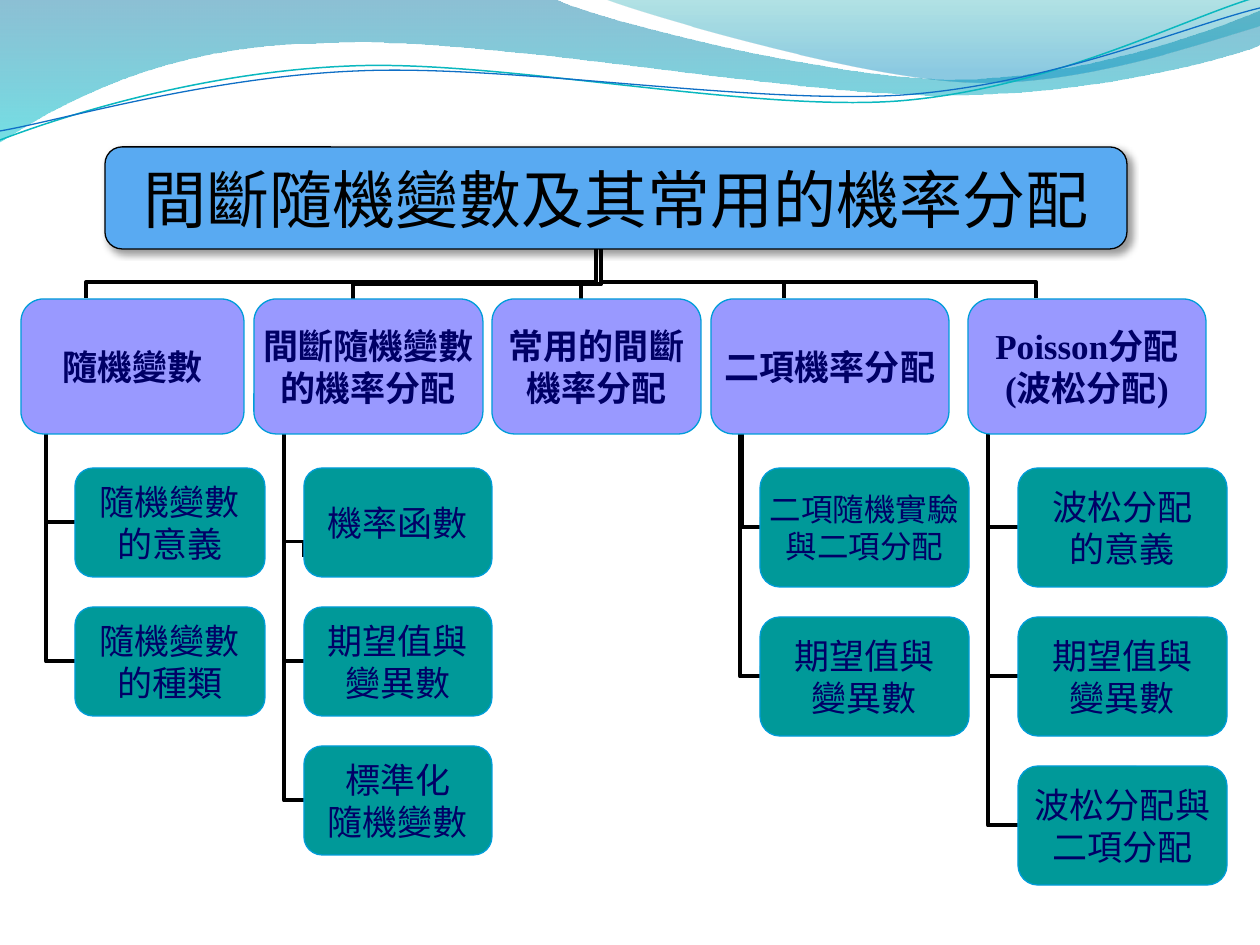
"""Build an organisation chart of discrete random variables under a wave banner."""
from dataclasses import dataclass

from lxml.etree import SubElement
from pptx import Presentation
from pptx.dml.color import RGBColor
from pptx.enum.shapes import MSO_CONNECTOR, MSO_SHAPE
from pptx.enum.text import MSO_ANCHOR, PP_ALIGN
from pptx.oxml.ns import qn
from pptx.util import Emu, Pt

PX = 914400 / 126


@dataclass(frozen=True)
class Theme:
    font: str = "Times New Roman"
    black: str = "000000"
    title_fill: str = "59AAF2"
    header_fill: str = "9999FF"
    topic_fill: str = "009999"
    outline: str = "009DD9"
    text: str = "000066"
    title_size: int = 36
    body_size: int = 20
    small_size: int = 18
    thin: float = 0.75
    link: float = 2.25


THEME = Theme()
TITLE = ("間斷隨機變數及其常用的機率分配", (105, 147, 1022, 102))
HEADER_TOP, HEADER_HEIGHT, TOPIC_TOP, TOPIC_GAP = 299, 135, 468, 30

COLUMNS = [
    dict(header="隨機變數", left=21, width=223, drop=(86, 298), trunk=(596, 229),
         bend=0.23, spine=46, topic_box=(75, 190, 109),
         topics=["隨機變數\n的意義", "隨機變數\n的種類"]),
    dict(header="間斷隨機變數的機率分配", left=254, width=229, drop=(353, 300),
         trunk=(601, 249), bend=0.32, spine=284, topic_box=(304, 188, 109),
         topics=["機率函數", "期望值與\n變異數", "標準化\n隨機變數"],
         first_link=("rise", (304, 557), (284, 428), 0.12)),
    dict(header="常用的間斷\n機率分配", left=492, width=209, drop=(581, 300),
         trunk=(601, 249), bend=0.32, topics=[]),
    dict(header="二項機率分配", left=711, width=238, drop=(784, 298),
         trunk=(601, 229), bend=0.23, spine=740, topic_box=(760, 209, 119),
         topics=["二項隨機實驗與二項分配", "期望值與\n變異數"],
         first_link=("side", (760, 527), (711, 367), 0.37)),
    dict(header="Poisson分配\n(波松分配)", left=968, width=238, drop=(1036, 298),
         trunk=(601, 229), bend=0.23, spine=988, topic_box=(1018, 209, 119),
         topics=["波松分配\n的意義", "期望值與\n變異數", "波松分配與\n二項分配"]),
]
WRAPPED = {"間斷隨機變數的機率分配": THEME.body_size,
           "二項隨機實驗與二項分配": THEME.small_size}

BANDS = [
    ([(0, -1), (554, -1), (600, 21, 837, 79, 955, 79), (1075, 79, 1207, 33, 1260, 11),
      (1261, 45), (1239, 55, 1096, 96, 940, 95), (784, 95, 481, 35, 324, 43),
      (163, 44, 58, 105, -1, 142)],
     [(0, "0074A1", 45), (1, "00C6CF", 55)]),
    ([(604, -1), (641, 14, 859, 78, 969, 82), (1079, 87, 1211, 40, 1260, 26), (1260, 0)],
     [(0, "00A1A9", 30), (0.8, "008BBF", 45)]),
]
STRANDS = [
    ([(0, 140), (60, 117, 199, 72, 349, 66), (498, 59, 747, 112, 898, 101),
      (1050, 89, 1182, 19, 1257, -3)], "0AB8BF", 0.85),
    ([(0, 131), (59, 121, 207, 77, 357, 71), (508, 64, 752, 105, 903, 95),
      (1053, 84, 1186, 26, 1260, 8)], "0F6FC6", 0.75),
]


def emu(*lengths):
    return [Emu(round(length * PX)) for length in lengths]


def set_line(shape, color, width):
    shape.line.color.rgb = RGBColor.from_string(color)
    shape.line.width = Pt(width)


def add_curve(slide, outline, close):
    first, *segments = outline
    points = [tuple(emu(*segment[index:index + 2]))
              for segment in segments for index in range(0, len(segment), 2)]
    builder = slide.shapes.build_freeform(*emu(*first))
    builder.add_line_segments(points, close=close)
    shape = builder.convert_to_shape()
    shape.shadow.inherit = False
    steps = iter(list(shape.element.iter(qn("a:lnTo"))))
    for segment in segments:
        step = next(steps)
        if len(segment) == 6:
            curve = step.makeelement(qn("a:cubicBezTo"))
            step.addprevious(curve)
            for control in (step, next(steps), next(steps)):
                curve.append(control[0])
                control.getparent().remove(control)
    return shape


def add_band(slide, outline, stops):
    shape = add_curve(slide, outline, True)
    shape.line.fill.background()
    shape.fill.gradient()
    shape.fill.gradient_angle = 270
    for stop, (position, color, _) in zip(shape.fill.gradient_stops, stops):
        stop.position = position
        stop.color.rgb = RGBColor.from_string(color)
    for element, (_, _, opacity) in zip(shape.element.iter(qn("a:srgbClr")), stops):
        SubElement(element, qn("a:alpha"), val=str(opacity * 1000))


def add_strand(slide, outline, color, width):
    shape = add_curve(slide, outline, False)
    shape.fill.background()
    set_line(shape, color, width)


def add_link(slide, kind, start, end, bend=None):
    connector = slide.shapes.add_connector(MSO_CONNECTOR.ELBOW, *emu(*start, *end))
    set_line(connector, THEME.black, THEME.link)
    properties = connector.element.spPr
    SubElement(properties, qn("a:effectLst"))
    geometry = properties.find(qn("a:prstGeom"))
    if kind == "corner":
        geometry.set("prst", "bentConnector2")
        return
    guides = geometry.find(qn("a:avLst"))
    SubElement(guides, qn("a:gd"), name="adj1", fmla=f"val {round(bend * 100000)}")
    if kind == "rise":
        (x1, y1), (x2, y2) = start, end
        width, height = abs(y2 - y1), abs(x2 - x1)
        connector.left, connector.top, connector.width, connector.height = emu(
            (x1 + x2 - width) / 2, (y1 + y2 - height) / 2, width, height)
        frame = properties.find(qn("a:xfrm"))
        frame.attrib.clear()
        frame.set("rot", str((90 if x2 < x1 else 270) * 60000))
        if x2 < x1:
            frame.set("flipH", "1")


def add_box(slide, text, box, fill, outline=THEME.outline, color=THEME.text,
            size=THEME.body_size, bold=False):
    shape = slide.shapes.add_shape(MSO_SHAPE.ROUNDED_RECTANGLE, *emu(*box))
    shape.shadow.inherit = False
    shape.fill.solid()
    shape.fill.fore_color.rgb = RGBColor.from_string(fill)
    set_line(shape, outline, THEME.thin)
    frame = shape.text_frame
    frame.margin_left = frame.margin_right = frame.margin_top = frame.margin_bottom = 0
    frame.vertical_anchor = MSO_ANCHOR.MIDDLE
    frame.word_wrap = text in WRAPPED
    frame.text = text
    for paragraph in frame.paragraphs:
        paragraph.alignment = PP_ALIGN.CENTER
        font = paragraph.font
        font.name, font.size, font.bold = THEME.font, Pt(WRAPPED.get(text, size)), bold
        font.color.rgb = RGBColor.from_string(color)
    return shape


def add_title(slide):
    shape = add_box(slide, *TITLE, THEME.title_fill, THEME.black, THEME.black,
                    THEME.title_size)
    effects = shape.element.spPr.find(qn("a:effectLst"))
    shadow = SubElement(effects, qn("a:outerShdw"), blurRad=str(Pt(4)),
                        dist=str(Pt(3)), dir=str(45 * 60000))
    color = SubElement(shadow, qn("a:srgbClr"), val=THEME.black)
    SubElement(color, qn("a:alpha"), val="40000")


def topic_boxes(column):
    if not column["topics"]:
        return []
    left, width, height = column["topic_box"]
    return [(left, TOPIC_TOP + row * (height + TOPIC_GAP), width, height)
            for row in range(len(column["topics"]))]


def main():
    presentation = Presentation()
    presentation.slide_width, presentation.slide_height = emu(1260, 945)
    slide = presentation.slides.add_slide(presentation.slide_layouts[6])
    for band in BANDS:
        add_band(slide, *band)
    for strand in STRANDS:
        add_strand(slide, *strand)
    for column in COLUMNS:
        add_link(slide, "rise", column["drop"], column["trunk"], column["bend"])
        for row, (left, top, _, height) in enumerate(topic_boxes(column)):
            if row == 0 and "first_link" in column:
                add_link(slide, *column["first_link"])
            else:
                add_link(slide, "corner", (left, top + height / 2), (column["spine"], 428))
    add_title(slide)
    for column in COLUMNS:
        box = (column["left"], HEADER_TOP, column["width"], HEADER_HEIGHT)
        add_box(slide, column["header"], box, THEME.header_fill, bold=True)
        for text, box in zip(column["topics"], topic_boxes(column)):
            add_box(slide, text, box, THEME.topic_fill)
    presentation.save("out.pptx")


if __name__ == "__main__":
    main()
